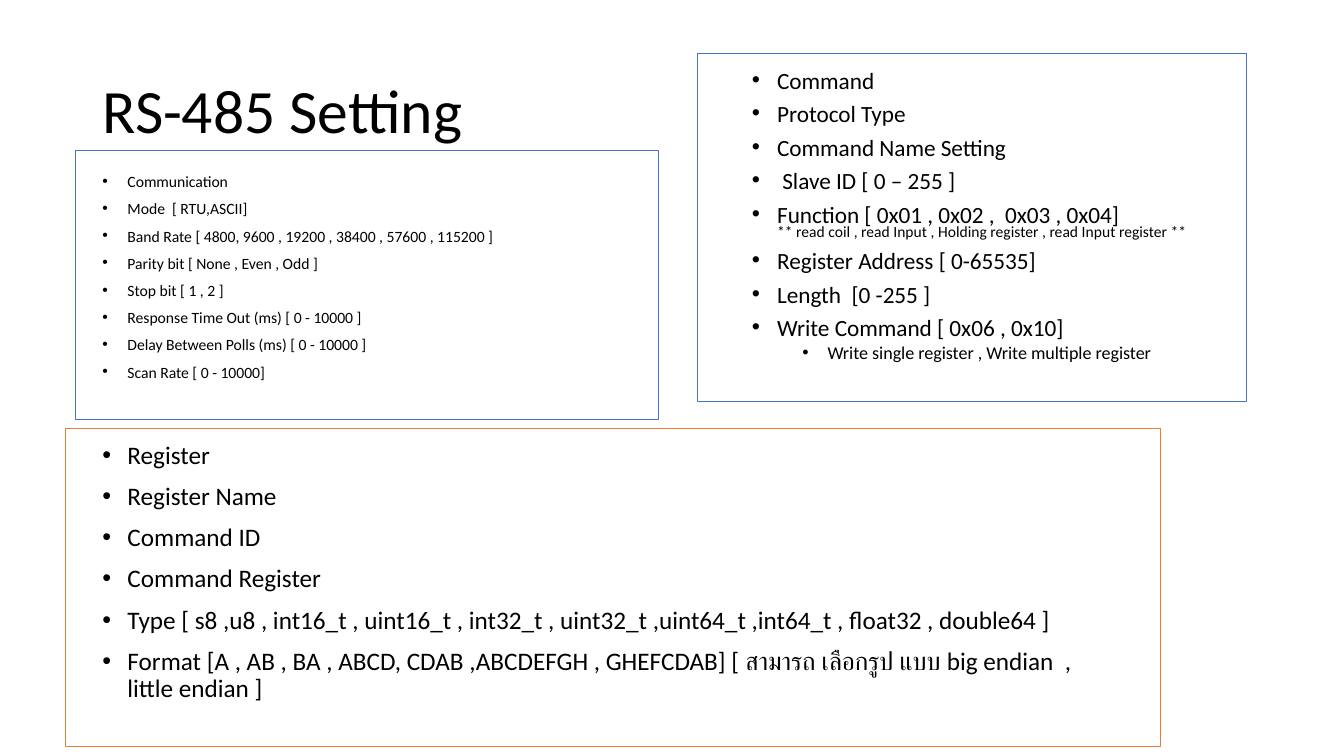
"""Build the RS-485 Setting slide: three framed bullet lists under one title."""
from dataclasses import dataclass

from lxml.etree import SubElement
from pptx import Presentation
from pptx.dml.color import RGBColor
from pptx.enum.shapes import MSO_SHAPE as Preset
from pptx.enum.text import MSO_ANCHOR as Anchor, MSO_AUTO_SIZE as AutoSize, PP_ALIGN as Align
from pptx.oxml.ns import qn
from pptx.slide import Slide
from pptx.text.text import TextFrame, _Paragraph as Paragraph
from pptx.util import Pt


@dataclass(frozen=True)
class Theme:
    font: str = "Calibri"
    ink: RGBColor = RGBColor(0x00, 0x00, 0x00)
    blue: RGBColor = RGBColor(0x44, 0x72, 0xC4)
    orange: RGBColor = RGBColor(0xED, 0x7D, 0x31)
    title_size: float = 44
    communication_size: float = 11.2
    command_size: float = 16.6
    function_note_size: float = 11.1
    write_detail_size: float = 12.9
    register_size: float = 18
    frame_width: float = 0.75
    hanging: float = 18
    level_step: float = 36


@dataclass(frozen=True)
class Box:
    left: float
    top: float
    width: float
    height: float

    def lengths(self) -> tuple[Pt, Pt, Pt, Pt]:
        return Pt(self.left), Pt(self.top), Pt(self.width), Pt(self.height)


@dataclass(frozen=True)
class Bullet:
    text: str
    size: float | None = None
    level: int = 0
    note: str = ""


@dataclass(frozen=True)
class Section:
    area: Box
    frame: Box
    frame_color: RGBColor
    size: float
    line_spacing: float
    bullets: tuple[Bullet, ...]


THEME = Theme()
TITLE_AREA = Box(66, 28.8, 828, 104.4)

COMMUNICATION = Section(
    Box(66, 123.12, 378.72, 163.44), Box(54, 107.5, 416.2, 192.2),
    THEME.blue, THEME.communication_size, 0.7,
    (
        Bullet("Communication"),
        Bullet("Mode  [ RTU,ASCII]"),
        Bullet("Band Rate [ 4800, 9600 , 19200 , 38400 , 57600 , 115200 ]"),
        Bullet("Parity bit [ None , Even , Odd ]"),
        Bullet("Stop bit [ 1 , 2 ]"),
        Bullet("Response Time Out (ms) [ 0 - 10000 ]"),
        Bullet("Delay Between Polls (ms) [ 0 - 10000 ]"),
        Bullet("Scan Rate [ 0 - 10000]"),
    ),
)
COMMAND = Section(
    Box(530, 49, 334, 221), Box(498.2, 38.2, 392.4, 248.4),
    THEME.blue, THEME.command_size, 0.7,
    (
        Bullet("Command"),
        Bullet("Protocol Type"),
        Bullet("Command Name Setting"),
        Bullet(" Slave ID [ 0 – 255 ]"),
        Bullet("Function [ 0x01 , 0x02 ,  0x03 , 0x04]",
               note="** read coil , read Input , Holding register , read Input register **"),
        Bullet("Register Address [ 0-65535]"),
        Bullet("Length  [0 -255 ]"),
        Bullet("Write Command [ 0x06 , 0x10]"),
        Bullet("Write single register , Write multiple register",
               THEME.write_detail_size, level=1),
    ),
)
REGISTER = Section(
    Box(66, 312.5, 728, 208.8), Box(46.8, 306, 782, 227.5),
    THEME.orange, THEME.register_size, 0.9,
    (
        Bullet("Register"),
        Bullet("Register Name"),
        Bullet("Command ID"),
        Bullet("Command Register"),
        Bullet("Type [ s8 ,u8 , int16_t , uint16_t , int32_t , uint32_t ,"
               "uint64_t ,int64_t , float32 , double64 ]"),
        Bullet("Format [A , AB , BA , ABCD, CDAB ,ABCDEFGH , GHEFCDAB] "
               "[ สามารถ เลือกรูป แบบ big endian  , little endian ]"),
    ),
)


def add_run(paragraph: Paragraph, text: str, size: float) -> None:
    run = paragraph.add_run()
    run.text = text
    run.font.name = THEME.font
    run.font.size = Pt(size)
    run.font.color.rgb = THEME.ink


def add_break(paragraph: Paragraph, size: float) -> None:
    paragraph.add_line_break()
    SubElement(paragraph._p[-1], qn("a:rPr"), sz=str(round(size * 100)))


def set_bullet(paragraph: Paragraph, level: int) -> None:
    paragraph.level = level
    properties = paragraph._p.get_or_add_pPr()
    properties.set("marL", str(Pt(THEME.hanging + level * THEME.level_step)))
    properties.set("indent", str(Pt(-THEME.hanging)))
    SubElement(properties, qn("a:buFont"), typeface="Arial")
    SubElement(properties, qn("a:buChar"), char="•")


def write_bullets(frame: TextFrame, section: Section) -> None:
    for index, bullet in enumerate(section.bullets):
        paragraph = frame.add_paragraph() if index else frame.paragraphs[0]
        paragraph.line_spacing = section.line_spacing
        paragraph.space_before = Pt(5 if bullet.level else 10)
        set_bullet(paragraph, bullet.level)
        size = bullet.size or section.size
        add_run(paragraph, bullet.text, size)
        if bullet.note:
            add_break(paragraph, size)
            add_run(paragraph, bullet.note, THEME.function_note_size)


def add_list(slide: Slide, section: Section) -> None:
    frame = slide.shapes.add_textbox(*section.area.lengths()).text_frame
    frame.word_wrap = True
    frame.auto_size = AutoSize.NONE
    write_bullets(frame, section)


def add_frame(slide: Slide, section: Section) -> None:
    outline = slide.shapes.add_shape(Preset.RECTANGLE, *section.frame.lengths())
    outline.shadow.inherit = False
    outline.fill.background()
    outline.line.color.rgb = section.frame_color
    outline.line.width = Pt(THEME.frame_width)


def write_title(slide: Slide) -> None:
    title = slide.shapes.title
    title.left, title.top, title.width, title.height = TITLE_AREA.lengths()
    frame = title.text_frame
    frame.auto_size = AutoSize.NONE
    frame.vertical_anchor = Anchor.MIDDLE
    heading = frame.paragraphs[0]
    heading.alignment = Align.LEFT
    heading.line_spacing = 0.9
    add_run(heading, "RS-485 Setting", THEME.title_size)


def main() -> None:
    deck = Presentation()
    deck.slide_width, deck.slide_height = Pt(960), Pt(540)
    slide = deck.slides.add_slide(deck.slide_layouts.get_by_name("Title Only"))
    write_title(slide)
    for section in (COMMUNICATION, COMMAND, REGISTER):
        add_list(slide, section)
    for section in (REGISTER, COMMAND, COMMUNICATION):
        add_frame(slide, section)
    deck.save("out.pptx")


if __name__ == "__main__":
    main()
